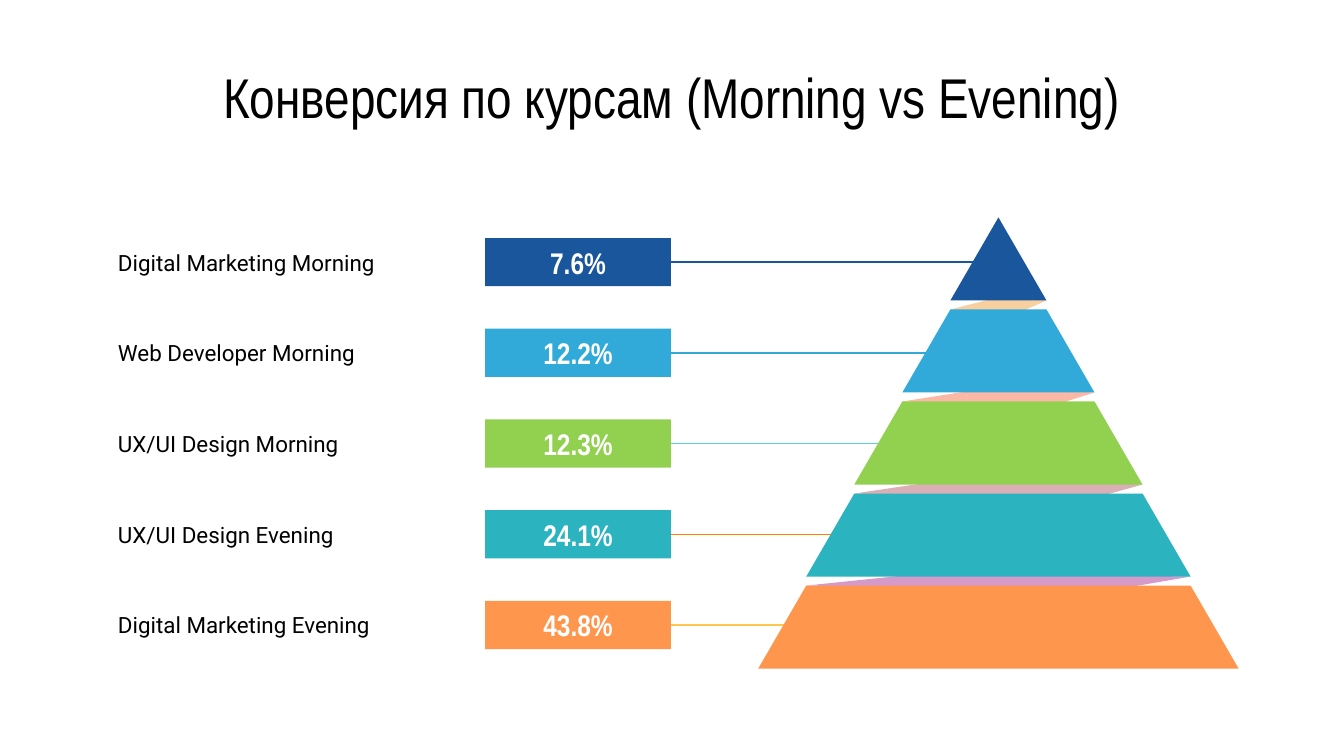
import pptx
import pptx.util
import pptx.dml.color
import pptx.enum.shapes
import pptx.enum.text
import pptx.oxml.ns
from lxml import etree

Cm = pptx.util.Cm
COLORS = {
    "navy": "1A569C", "sky": "32AAD9", "green": "92D050", "teal": "2BB3C0",
    "orange": "FF964D", "aqua": "5FD0DB", "amber": "FF8001", "yellow": "FFC64E",
    "black": "000000", "white": "FFFFFF",
    "fold1": "EF9121", "fold2": "FB8569", "fold3": "AC4D5B", "fold4": "A11686",
}
TITLE_FONT = {"name": "Arial Narrow", "size": pptx.util.Pt(30)}
LABEL_FONT = {"name": "Roboto", "size": pptx.util.Pt(12)}
SHARE_FONT = {"name": "Arial Narrow", "size": pptx.util.Pt(16), "bold": True}

# course, share, tier colour, leader colour, leader end (cm)
COURSES = [
    ("Digital Marketing Morning", "7.6%", "navy", "navy", 18.62),
    ("Web Developer Morning", "12.2%", "sky", "sky", 17.75),
    ("UX/UI Design Morning", "12.3%", "green", "aqua", 17.22),
    ("UX/UI Design Evening", "24.1%", "teal", "amber", 16.38),
    ("Digital Marketing Evening", "43.8%", "orange", "yellow", 15.29),
]
# colour, opacity %, upper corner (dx from axis, rise), lower corner (dx, drop)
FOLDS = [
    ("fold1", 43, (0.08, 0.08), (0.3, 0.1)),
    ("fold2", 58, (-0.1, 0.1), (1.02, 0.08)),
    ("fold3", 44, (-0.36, 0.18), (1.57, 0.15)),
    ("fold4", 43, (-1.22, 0.08), (2.18, 0.08)),
]


def rgb(color):
    return pptx.dml.color.RGBColor.from_string(COLORS[color])


def paint(shape, color, opacity=100):
    shape.shadow.inherit = False
    shape.fill.solid()
    shape.fill.fore_color.rgb = rgb(color)
    shape.line.fill.background()
    if opacity < 100:
        clr = shape.fill._xPr.find(".//" + pptx.oxml.ns.qn("a:srgbClr"))
        etree.SubElement(clr, pptx.oxml.ns.qn("a:alpha"), val=str(opacity * 1000))


def write(shape, text, font, color, align):
    frame = shape.text_frame
    frame_format = {
        "word_wrap": True,
        "vertical_anchor": pptx.enum.text.MSO_ANCHOR.MIDDLE,
        "margin_left": Cm(0.25), "margin_right": Cm(0.25),
        "margin_top": Cm(0.25), "margin_bottom": Cm(0.25),
    }
    for key, value in frame_format.items():
        setattr(frame, key, value)
    paragraph = frame.paragraphs[0]
    paragraph.alignment = align
    run = paragraph.add_run()
    run.text = text
    for key, value in font.items():
        setattr(run.font, key, value)
    run.font.color.rgb = rgb(color)


def add_polygon(slide, points, color, opacity=100):
    corners = [(Cm(x), Cm(y)) for x, y in points]
    builder = slide.shapes.build_freeform(*corners[0])
    builder.add_line_segments(corners[1:], close=True)
    paint(builder.convert_to_shape(), color, opacity)


def add_title(slide, left, top, width, height):
    title = slide.shapes.add_textbox(Cm(left), Cm(top), Cm(width), Cm(height))
    write(title, "Конверсия по курсам (Morning vs Evening)", TITLE_FONT, "black",
          pptx.enum.text.PP_ALIGN.CENTER)


def add_course_rows(slide, left, top, width, height):
    """Label at the left, share badge at the right, leader to the pyramid."""
    badge_width, badge_height, label_width, label_height = 3.51, 0.91, 6.3, 1.47
    pitch = (height - badge_height) / (len(COURSES) - 1)
    right = left + width
    for row, (course, share, color, leader_color, leader_end) in enumerate(COURSES):
        middle = top + badge_height / 2 + row * pitch

        label = slide.shapes.add_textbox(
            Cm(left), Cm(middle - label_height / 2), Cm(label_width), Cm(label_height))
        write(label, course, LABEL_FONT, "black", pptx.enum.text.PP_ALIGN.LEFT)

        badge = slide.shapes.add_shape(
            pptx.enum.shapes.MSO_SHAPE.RECTANGLE, Cm(right - badge_width),
            Cm(middle - badge_height / 2), Cm(badge_width), Cm(badge_height))
        paint(badge, color)
        write(badge, share, SHARE_FONT, "white", pptx.enum.text.PP_ALIGN.CENTER)

        leader = slide.shapes.add_connector(
            pptx.enum.shapes.MSO_CONNECTOR.STRAIGHT,
            Cm(right), Cm(middle), Cm(leader_end), Cm(middle))
        leader.line.color.rgb = rgb(leader_color)
        leader.line.width = pptx.util.Pt(0.75)
        etree.SubElement(leader._element.spPr, pptx.oxml.ns.qn("a:effectLst"))


def add_pyramid(slide, left, top, width, height):
    gap = 0.17
    tiers = len(COURSES)
    tier_height = (height - gap * (tiers - 1)) / tiers
    axis = left + width / 2
    step = width / 2 / tiers
    tops = [top + tier * (tier_height + gap) for tier in range(tiers)]

    # Translucent folds, behind the tiers
    for tier, (color, opacity, upper, lower) in enumerate(FOLDS):
        half = step * (tier + 1)
        bottom, next_top = tops[tier] + tier_height, tops[tier + 1]
        add_polygon(slide, [
            (axis + upper[0], bottom - upper[1]), (axis - half, next_top),
            (axis + lower[0], next_top + lower[1]), (axis + half, bottom),
        ], color, opacity)

    # Tiers, the first one a triangle
    for tier, course in enumerate(COURSES):
        inner, outer = step * tier, step * (tier + 1)
        bottom = tops[tier] + tier_height
        points = [(axis - inner, tops[tier]), (axis - outer, bottom),
                  (axis + outer, bottom)]
        if tier:
            points.append((axis + inner, tops[tier]))
        add_polygon(slide, points, course[2])


def main():
    deck = pptx.Presentation()
    deck.slide_width, deck.slide_height = Cm(25.4), Cm(14.29)
    slide = deck.slides.add_slide(deck.slide_layouts[6])
    add_title(slide, 1.27, 1.14, 22.86, 1.35)
    add_course_rows(slide, 1.98, 4.5, 10.7, 7.77)
    add_pyramid(slide, 14.33, 4.11, 9.08, 8.53)
    deck.save("out.pptx")


if __name__ == "__main__":
    main()
